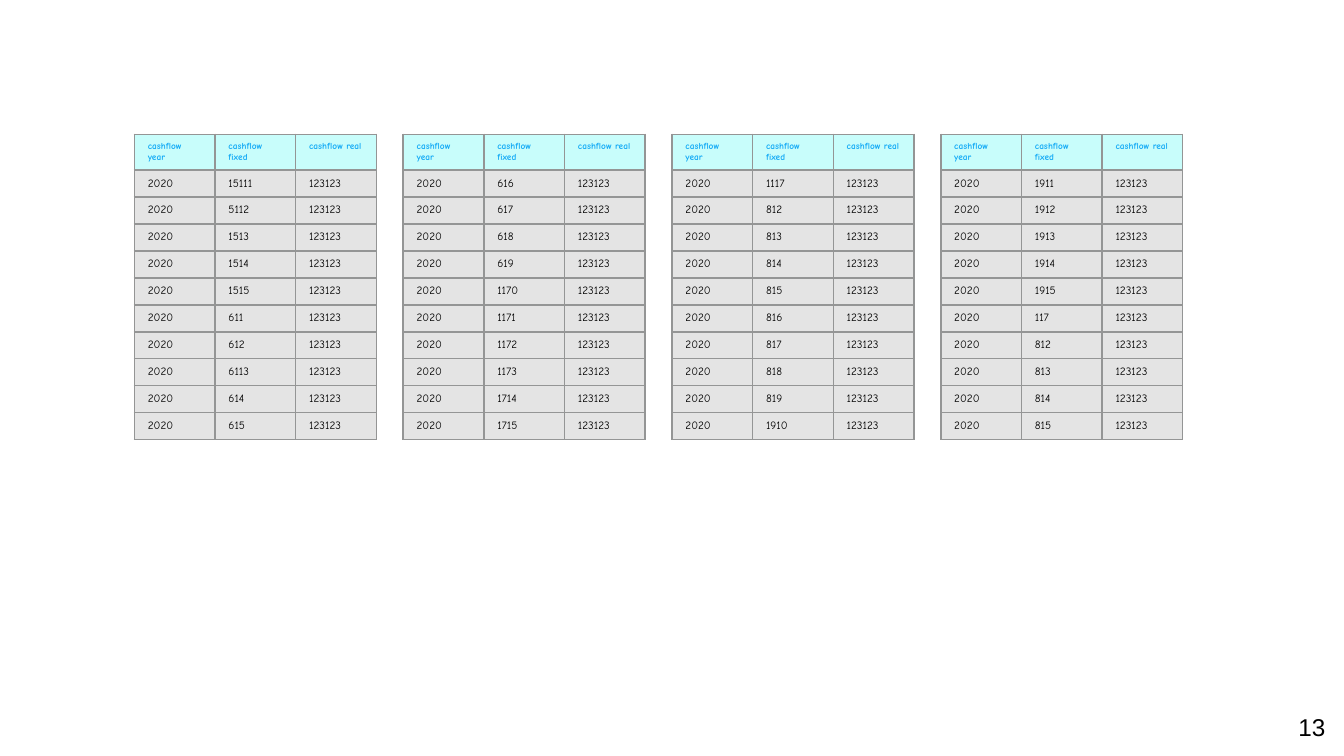
from lxml import etree
from pptx import Presentation
from pptx.dml.color import RGBColor
from pptx.enum.text import MSO_ANCHOR, PP_ALIGN
from pptx.oxml.ns import qn
from pptx.util import Inches, Pt

RIGHT = PP_ALIGN.RIGHT
MIDDLE = MSO_ANCHOR.MIDDLE

BLACK = RGBColor(0x00, 0x00, 0x00)
HEADER_TEXT = RGBColor(0x13, 0xAA, 0xF6)
HEADER_FILL = RGBColor(0xC8, 0xFD, 0xFB)
BODY_FILL = RGBColor(0xE4, 0xE4, 0xE4)
BORDER = RGBColor(0x94, 0x95, 0x95)

SLIDE_WIDTH = Inches(10)
SLIDE_HEIGHT = SLIDE_WIDTH * 9 // 16
UNIT = 0.2  # inches in one grid column or row
HEADERS = ("cashflow year", "cashflow fixed", "cashflow real")
YEAR = "2020"
REAL = "123123"
FIXED_VALUES = (
    (15111, 5112, 1513, 1514, 1515, 611, 612, 6113, 614, 615),
    (616, 617, 618, 619, 1170, 1171, 1172, 1173, 1714, 1715),
    (1117, 812, 813, 814, 815, 816, 817, 818, 819, 1910),
    (1911, 1912, 1913, 1914, 1915, 117, 812, 813, 814, 815),
)


def grid(count):
    return Inches(count * UNIT)


def write(frame, text, font, size, color, bold=False, align=None):
    para = frame.paragraphs[0]
    if align is not None:
        para.alignment = align
    span = para.add_run()
    span.text = text
    span.font.name = font
    span.font.size = Pt(size)
    span.font.bold = bold
    span.font.color.rgb = color


def outline_cell(cell, color, width):
    """Draw the four borders; must run before the cell's fill is set."""
    properties = cell._tc.get_or_add_tcPr()
    for side in ("a:lnL", "a:lnR", "a:lnT", "a:lnB"):
        line = etree.SubElement(properties, qn(side), w=str(Pt(width)))
        fill = etree.SubElement(line, qn("a:solidFill"))
        etree.SubElement(fill, qn("a:srgbClr"), val=str(color))


class CashflowPage:
    table_font = "Comic Neue"
    number_font = "Arial"
    border_width = 0.94
    table_height = Inches(0.04)

    def __init__(self, deck):
        self.page = deck.slides.add_slide(deck.slide_layouts[6])

    def page_number(self, text, left, top, width, height):
        box = self.page.shapes.add_textbox(
            grid(left), grid(top), grid(width), grid(height))
        frame = box.text_frame
        frame.word_wrap = True
        frame.vertical_anchor = MIDDLE
        frame.margin_left = frame.margin_right = Inches(0.1)
        frame.margin_top = frame.margin_bottom = Inches(0.1)
        write(frame, text, self.number_font, 13, BLACK, align=RIGHT)

    def table(self, rows, left, top, column_width):
        """Add a table whose zero-height rows grow to fit their text."""
        columns = len(rows[0])
        holder = self.page.shapes.add_table(
            len(rows), columns, grid(left), grid(top),
            grid(column_width * columns), self.table_height)
        table = holder.table
        table.horz_banding = False
        for row_index, row in enumerate(rows):
            table.rows[row_index].height = 0
            for column_index, text in enumerate(row):
                self.cell(table.cell(row_index, column_index), text,
                          is_header=row_index == 0)
        holder.height = self.table_height

    def cell(self, cell, text, is_header):
        outline_cell(cell, BORDER, self.border_width)
        cell.fill.solid()
        cell.fill.fore_color.rgb = HEADER_FILL if is_header else BODY_FILL
        write(cell.text_frame, text, self.table_font,
              size=5 if is_header else 6,
              color=HEADER_TEXT if is_header else BLACK,
              bold=is_header)


def main():
    deck = Presentation()
    deck.slide_width = SLIDE_WIDTH
    deck.slide_height = SLIDE_HEIGHT
    page = CashflowPage(deck)
    page.page_number("13", left=46.8, top=25.95, width=3, height=2.15)
    for index, values in enumerate(FIXED_VALUES):
        rows = [HEADERS] + [(YEAR, str(fixed), REAL) for fixed in values]
        page.table(rows, left=5 + 10 * index, top=5, column_width=3)
    deck.save("out.pptx")


if __name__ == "__main__":
    main()
